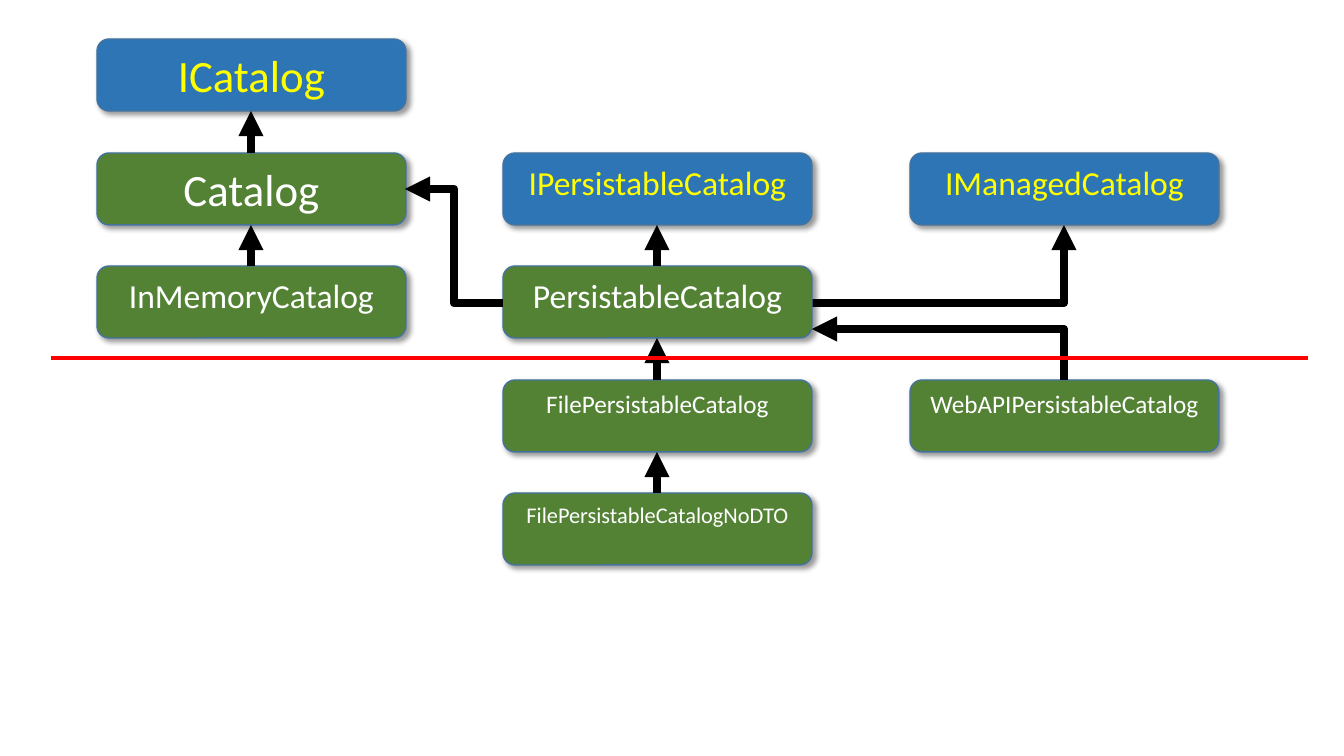
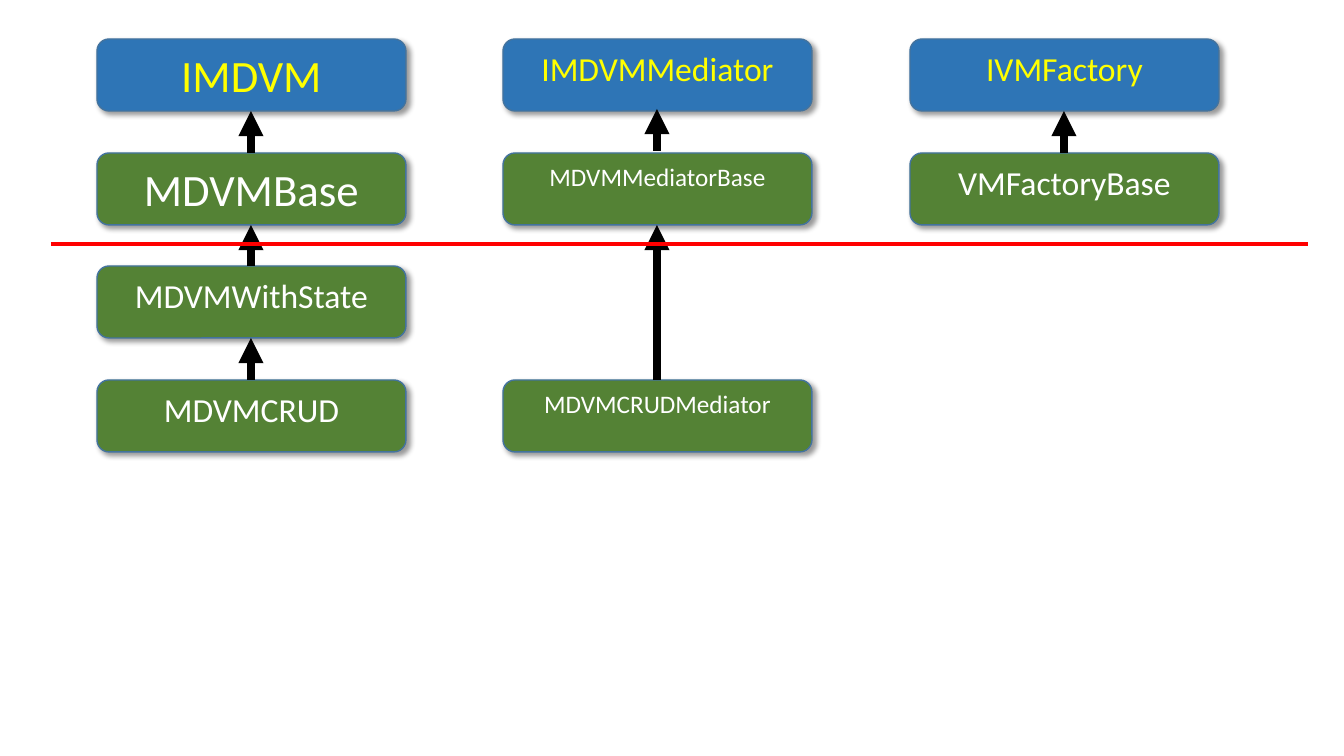
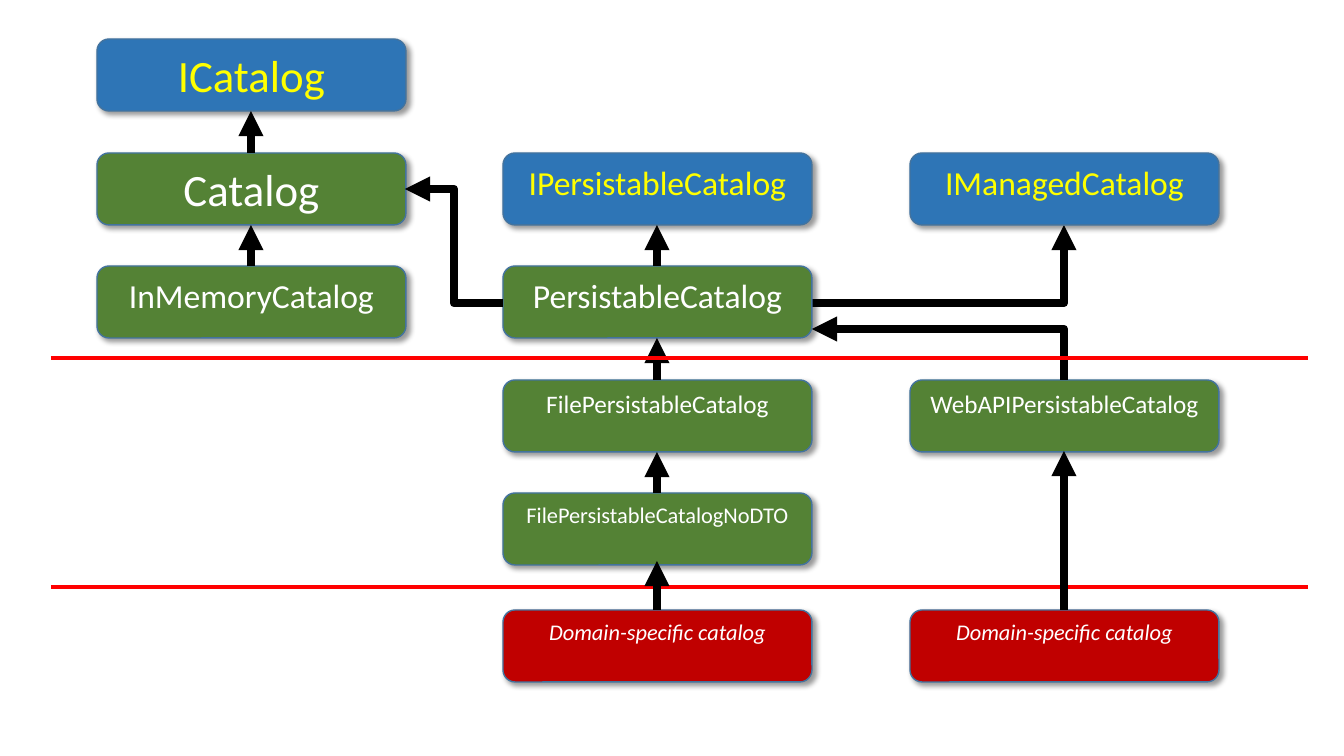
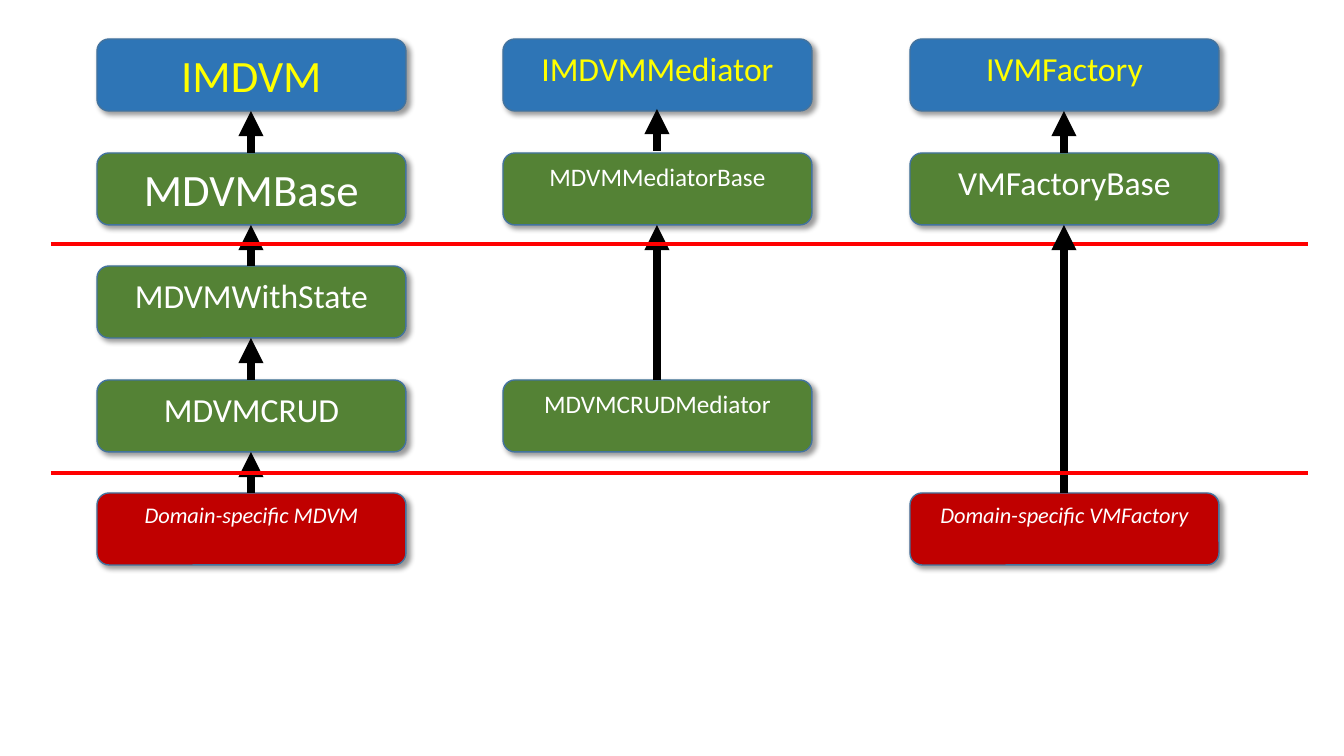
import pptx
import pptx.dml.color
import pptx.enum.shapes
import pptx.enum.text
import pptx.oxml
import pptx.oxml.ns
import pptx.util

SCALE = 12192000 / 1344
BLUE = pptx.dml.color.RGBColor(0x2E, 0x75, 0xB6)
GREEN = pptx.dml.color.RGBColor(0x54, 0x82, 0x35)
DARK_RED = pptx.dml.color.RGBColor(0xC0, 0x00, 0x00)
OUTLINE = pptx.dml.color.RGBColor(0x43, 0x73, 0x9E)
YELLOW = pptx.dml.color.RGBColor(0xFF, 0xFF, 0x00)
WHITE = pptx.dml.color.RGBColor(0xFF, 0xFF, 0xFF)
BLACK = pptx.dml.color.RGBColor(0x00, 0x00, 0x00)
RED = pptx.dml.color.RGBColor(0xFF, 0x00, 0x00)

FONT = "Calibri"
COLUMNS = (97, 503, 910)
CENTERS = (251, 657, 1064)
ROWS = (39, 153, 266, 380, 493, 610)
BOX_WIDTH, BOX_HEIGHT = 309, 72
DIVIDER_LEFT, DIVIDER_RIGHT = 51, 1308

STYLES = {
    "interface": (BLUE, YELLOW, False),
    "class": (GREEN, WHITE, False),
    "domain": (DARK_RED, WHITE, True),
}
ELBOW = pptx.enum.shapes.MSO_CONNECTOR.ELBOW
STRAIGHT = pptx.enum.shapes.MSO_CONNECTOR.STRAIGHT
NAMESPACE = pptx.oxml.ns.nsdecls("a")
SHADOW = (
    f'<a:effectLst {NAMESPACE}><a:outerShdw blurRad="50800" dist="38100" dir="2700000" '
    'algn="tl" rotWithShape="0"><a:srgbClr val="000000"><a:alpha val="40000"/>'
    "</a:srgbClr></a:outerShdw></a:effectLst>"
)


def px(length):
    return round(length * SCALE)


def add_line(page, kind, start, end, color, width, arrow_end=None):
    line = page.shapes.add_connector(kind, *map(px, start + end))
    line.line.color.rgb = color
    line.line.width = pptx.util.Pt(width)
    properties = line.element.spPr
    if arrow_end:
        arrowhead = pptx.oxml.parse_xml(f'<a:{arrow_end} {NAMESPACE} type="triangle"/>')
        properties.find(pptx.oxml.ns.qn("a:ln")).append(arrowhead)
    properties.append(pptx.oxml.parse_xml(f"<a:effectLst {NAMESPACE}/>"))
    return line


catalog = [
    ("corner", (812, 303), (1064, 225), "tailEnd"),
    ("box", "interface", 0, 0, "ICatalog", 32),
    ("box", "class", 0, 1, "Catalog", 32),
    ("box", "interface", 1, 1, "IPersistableCatalog", 24),
    ("box", "interface", 2, 1, "IManagedCatalog", 24),
    ("box", "class", 0, 2, "InMemoryCatalog", 24),
    ("box", "class", 1, 2, "PersistableCatalog", 24),
    ("arrow", 0, 153, 111),
    ("arrow", 0, 266, 225),
    ("arrow", 1, 266, 225),
    ("step", (503, 303), (405, 189), "tailEnd"),
    ("box", "class", 1, 3, "FilePersistableCatalog", 18),
    ("arrow", 1, 380, 338),
    ("box", "class", 1, 4, "FilePersistableCatalogNoDTO", 16),
    ("arrow", 1, 493, 452),
    ("box", "class", 2, 3, "WebAPIPersistableCatalog", 18),
    ("corner", (812, 329), (1064, 380), "headEnd"),
    ("divider", 358),
]
view_model = [
    ("box", "interface", 0, 0, "IMDVM", 32),
    ("box", "class", 0, 1, "MDVMBase", 32),
    ("box", "interface", 1, 0, "IMDVMMediator", 24),
    ("box", "interface", 2, 0, "IVMFactory", 24),
    ("box", "class", 0, 2, "MDVMWithState", 24),
    ("box", "class", 1, 1, "MDVMMediatorBase", 18),
    ("arrow", 0, 153, 111),
    ("arrow", 0, 266, 225),
    ("box", "class", 2, 1, "VMFactoryBase", 24),
    ("arrow", 1, 151, 109),
    ("arrow", 2, 153, 111),
    ("box", "class", 1, 3, "MDVMCRUDMediator", 18),
    ("arrow", 1, 380, 225),
    ("box", "class", 0, 3, "MDVMCRUD", 24),
    ("arrow", 0, 380, 338),
    ("divider", 244),
]
domain_catalog = [
    ("divider", 587),
    ("box", "domain", 1, 5, "Domain-specific catalog", 16),
    ("arrow", 1, 610, 561),
    ("box", "domain", 2, 5, "Domain-specific catalog", 16),
    ("arrow", 2, 610, 451),
]
domain_view_model = [
    ("box", "domain", 0, 4, "Domain-specific MDVM", 16),
    ("arrow", 0, 493, 452),
    ("box", "domain", 2, 4, "Domain-specific VMFactory", 16),
    ("arrow", 2, 493, 225),
    ("divider", 473),
]

deck = pptx.Presentation()
deck.slide_width, deck.slide_height = px(1344), px(756)

for diagram in (catalog, view_model, catalog + domain_catalog, view_model + domain_view_model):
    page = deck.slides.add_slide(deck.slide_layouts[6])
    for item, *details in diagram:
        if item == "box":
            style, column, row, name, size = details
            fill, text_color, italic = STYLES[style]
            box = page.shapes.add_shape(
                pptx.enum.shapes.MSO_SHAPE.ROUNDED_RECTANGLE,
                px(COLUMNS[column]), px(ROWS[row]), px(BOX_WIDTH), px(BOX_HEIGHT),
            )
            box.fill.solid()
            box.fill.fore_color.rgb = fill
            box.line.color.rgb = OUTLINE
            box.line.width = pptx.util.Pt(1)
            box.element.spPr.append(pptx.oxml.parse_xml(SHADOW))
            box.text_frame.word_wrap = True
            box.text_frame.vertical_anchor = pptx.enum.text.MSO_ANCHOR.TOP
            para = box.text_frame.paragraphs[0]
            para.alignment = pptx.enum.text.PP_ALIGN.CENTER
            span = para.add_run()
            span.text = name
            span.font.name = FONT
            span.font.size = pptx.util.Pt(size)
            span.font.italic = italic
            span.font.color.rgb = text_color
        elif item == "arrow":
            column, start, end = details
            center = CENTERS[column]
            add_line(page, STRAIGHT, (center, start), (center, end), BLACK, 6, "tailEnd")
        elif item == "divider":
            height = details[0]
            add_line(page, STRAIGHT, (DIVIDER_LEFT, height), (DIVIDER_RIGHT, height), RED, 3)
        else:
            start, end, arrow_end = details
            elbow = add_line(page, ELBOW, start, end, BLACK, 6, arrow_end)
            if item == "corner":
                elbow.element.spPr.find(pptx.oxml.ns.qn("a:prstGeom")).set("prst", "bentConnector2")

deck.save("out.pptx")
